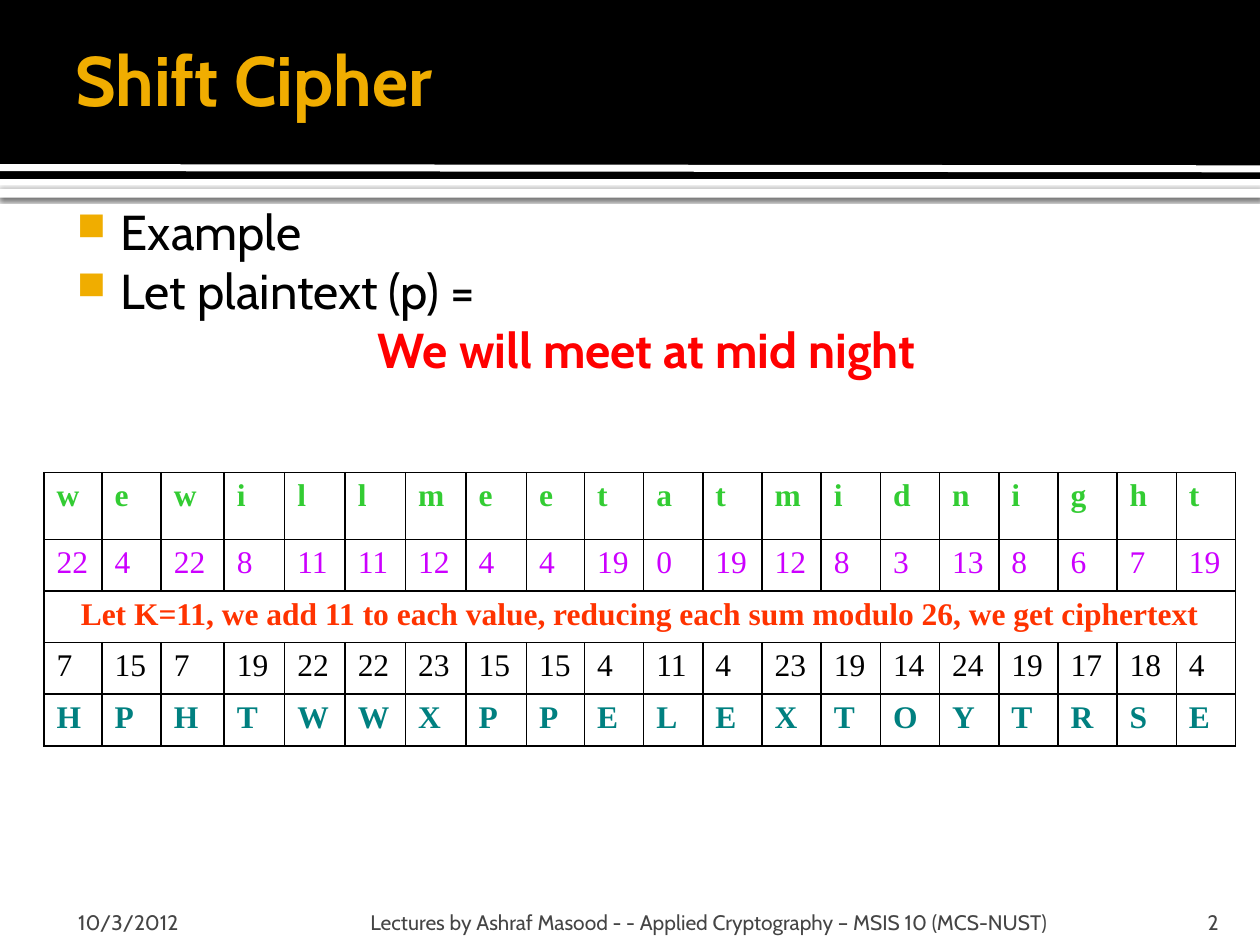
from lxml import etree
from pptx import Presentation
from pptx.dml.color import RGBColor
from pptx.enum.shapes import MSO_CONNECTOR, MSO_SHAPE
from pptx.enum.text import MSO_ANCHOR, PP_ALIGN
from pptx.oxml import parse_xml
from pptx.oxml.ns import nsdecls, qn
from pptx.util import Inches, Pt

LEFT, CENTER, RIGHT = PP_ALIGN.LEFT, PP_ALIGN.CENTER, PP_ALIGN.RIGHT
TOP, MIDDLE, BOTTOM = MSO_ANCHOR.TOP, MSO_ANCHOR.MIDDLE, MSO_ANCHOR.BOTTOM
RECTANGLE, STRAIGHT = MSO_SHAPE.RECTANGLE, MSO_CONNECTOR.STRAIGHT

COLORS = {
    "black": "000000", "white": "FFFFFF", "gold": "F0AD00", "footer": "454545",
    "message": "FF0000", "plain": "33CC33", "codes": "CC00FF",
    "rule": "FF3300", "cipher": "008080",
}
SANS, SERIF = "Cabin", "Times New Roman"
SLIDE_WIDTH, SLIDE_HEIGHT = Inches(10), Inches(7.5)
COLUMN, ROW = SLIDE_WIDTH / 100, SLIDE_HEIGHT / 75
PLAINTEXT = "wewillmeetatmidnight"
KEY = 11


def color(name):
    return RGBColor.from_string(COLORS[name])


def place(box, left, top, width, height):
    return (round((box[0] + left) * COLUMN), round((box[1] + top) * ROW),
            round(width * COLUMN), round(height * ROW))


def write(paragraph, text, size=12, font=SANS, ink="black", bold=False, align=LEFT):
    paragraph.alignment = align
    run = paragraph.add_run()
    run.text = text
    run.font.size = Pt(size)
    run.font.name = font
    run.font.bold = bold
    run.font.color.rgb = color(ink)


def add_frame(slide, position, insets, anchor=TOP):
    frame = slide.shapes.add_textbox(*position).text_frame
    frame.word_wrap = True
    frame.vertical_anchor = anchor
    (frame.margin_left, frame.margin_top,
     frame.margin_right, frame.margin_bottom) = map(Inches, insets)
    return frame


def add_band(slide, position, fill):
    band = slide.shapes.add_shape(RECTANGLE, *position)
    band.shadow.inherit = False
    band.fill.solid()
    band.fill.fore_color.rgb = color(fill)
    band.line.fill.background()
    return band


def add_header(slide, box):
    width = box[2]
    strip = add_band(slide, place(box, 0, 15, width, 0.7), "white")
    effects = strip._element.spPr.find(qn("a:effectLst"))
    effects.append(parse_xml(
        f'<a:outerShdw {nsdecls("a")} blurRad="{Pt(2.5)}" dist="{Pt(0.8)}" '
        f'dir="5400000" algn="tl" rotWithShape="0"><a:srgbClr val="{COLORS["black"]}">'
        '<a:alpha val="60000"/></a:srgbClr></a:outerShdw>'))
    add_band(slide, place(box, 0, 0, width, 14.2), "black")

    left, top, run, rise = place(box, 0, 13.3, width, 0.1)
    stripe = slide.shapes.add_connector(STRAIGHT, left, top, left + run, top + rise)
    stripe.line.color.rgb = color("white")
    stripe.line.width = Pt(4)
    etree.SubElement(stripe._element.spPr, qn("a:effectLst"))

    title = add_frame(slide, place(box, 5, 0.8, 82.5, 10.8), (0.1, 0.05, 0.05, 0.05), MIDDLE)
    write(title.paragraphs[0], "Shift Cipher", size=40, ink="gold", bold=True)


def set_bullet(paragraph):
    properties = paragraph._p.get_or_add_pPr()
    for xml in (f'<a:buClr {nsdecls("a")}><a:srgbClr val="{COLORS["gold"]}"/></a:buClr>',
                f'<a:buSzPct {nsdecls("a")} val="80000"/>',
                f'<a:buChar {nsdecls("a")} char="■"/>'):
        properties.append(parse_xml(xml))


def add_example(slide, box):
    frame = add_frame(slide, place(box, 0, 0, *box[2:]), (0.06, 0.1, 0.1, 0.05))
    lines = [
        ("Example", True, {}),
        ("Let plaintext (p) =", True, {}),
        ("We will meet at mid night", False,
         {"ink": "message", "bold": True, "align": CENTER}),
    ]
    for index, (text, bulleted, style) in enumerate(lines):
        paragraph = frame.add_paragraph() if index else frame.paragraphs[0]
        properties = paragraph._p.get_or_add_pPr()
        properties.set("marL", str(Inches(0.48)))
        properties.set("indent", str(Inches(-0.35)))
        if bulleted:
            set_bullet(paragraph)
        write(paragraph, text, size=28, **style)


def set_borders(cell):
    properties = cell._tc.get_or_add_tcPr()
    for side in ("lnL", "lnR", "lnT", "lnB"):
        properties.append(parse_xml(
            f'<a:{side} {nsdecls("a")} w="{Pt(1)}"><a:solidFill>'
            f'<a:srgbClr val="{COLORS["black"]}"/></a:solidFill></a:{side}>'))


def add_cipher_table(slide, box):
    codes = [ord(letter) - ord("a") for letter in PLAINTEXT]
    shifted = [(code + KEY) % 26 for code in codes]
    rule = f"Let K={KEY}, we add {KEY} to each value, reducing each sum modulo 26, we get ciphertext"
    rows = [
        (PLAINTEXT, {"ink": "plain", "bold": True}),
        (codes, {"ink": "codes"}),
        ([rule], {"ink": "rule", "bold": True, "align": CENTER}),
        (shifted, {}),
        ([chr(ord("A") + code) for code in shifted], {"ink": "cipher", "bold": True}),
    ]
    widths = [4.6, 4.7, 5] + [4.8] * 5 + [4.6] + [4.7] * 11
    heights = [5.3] + [4.1] * 4
    table = slide.shapes.add_table(len(rows), len(widths), *place(box, 0, 0, *box[2:])).table
    table.first_row = table.horz_banding = False
    for column, width in zip(table.columns, widths):
        column.width = round(width * COLUMN)
    for row, height in zip(table.rows, heights):
        row.height = round(height * ROW)
    for cell in table.iter_cells():
        set_borders(cell)
        cell.fill.background()
    for row_index, (values, style) in enumerate(rows):
        if len(values) == 1:
            table.cell(row_index, 0).merge(table.cell(row_index, len(widths) - 1))
        for column_index, value in enumerate(values):
            paragraph = table.cell(row_index, column_index).text_frame.paragraphs[0]
            write(paragraph, str(value), size=18, font=SERIF, **style)


def add_footer(slide, box):
    parts = [
        ("10/3/2012", 0, 23.3, 0.12, 0.05, LEFT),
        ("Lectures by Ashraf Masood - - Applied Cryptography – MSIS 10 (MCS-NUST)",
         23.9, 60.2, 0.05, 0.05, LEFT),
        ("2", 84.7, 8, 0.1, 0.1, RIGHT),
    ]
    for text, left, width, inset_left, inset_right, align in parts:
        frame = add_frame(slide, place(box, left, 0, width, box[3]),
                          (inset_left, 0.05, inset_right, 0), BOTTOM)
        write(frame.paragraphs[0], text, ink="footer", align=align)


def main():
    deck = Presentation()
    deck.slide_width, deck.slide_height = SLIDE_WIDTH, SLIDE_HEIGHT
    slide = deck.slides.add_slide(deck.slide_layouts[6])
    add_header(slide, (0, 0, 100, 15.7))
    add_example(slide, (4.2, 15, 93.3, 55.8))
    add_footer(slide, (5, 71.2, 92.7, 3))
    add_cipher_table(slide, (3.5, 37.5, 94.8, 21.7))
    deck.save("out.pptx")


if __name__ == "__main__":
    main()
